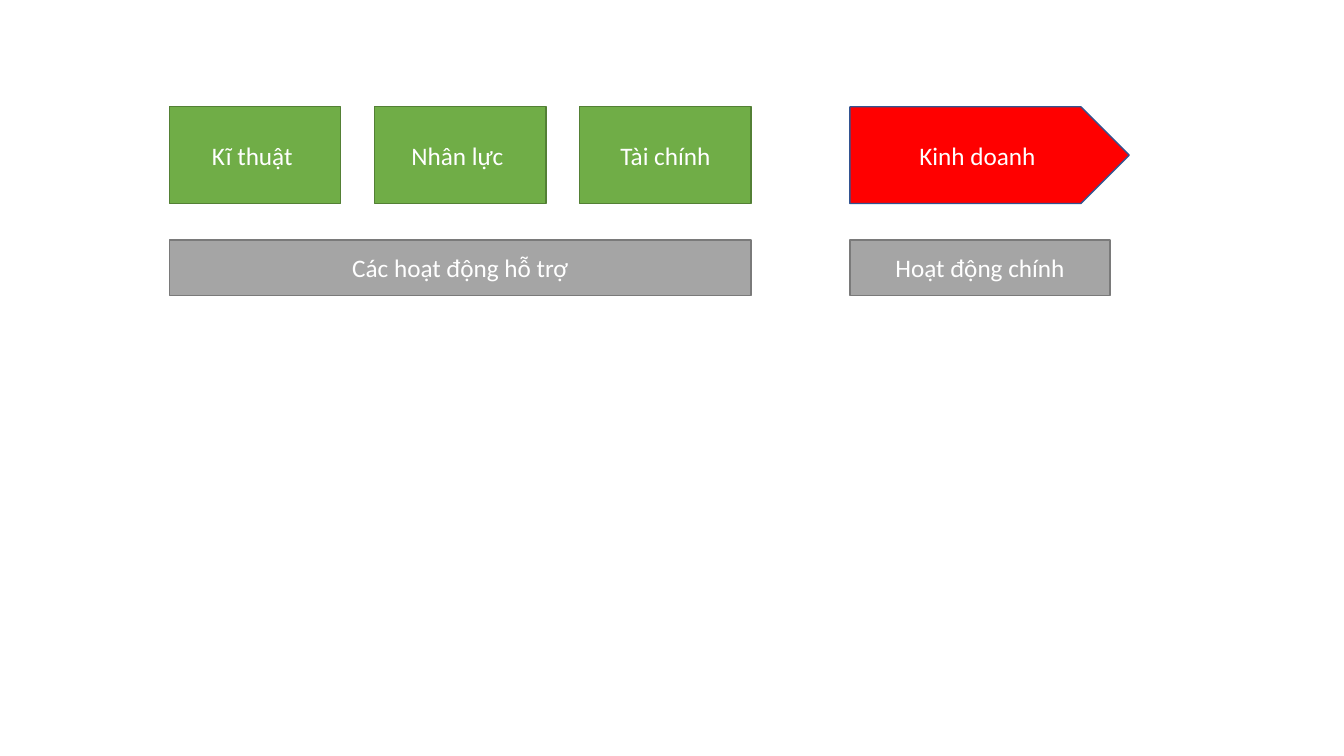
from pptx import Presentation
from pptx.dml.color import RGBColor
from pptx.enum.shapes import MSO_SHAPE
from pptx.enum.text import MSO_ANCHOR, PP_ALIGN
from pptx.util import Inches, Pt

WHITE = RGBColor(0xFF, 0xFF, 0xFF)
GREEN = RGBColor(0x70, 0xAD, 0x47)
DARK_GREEN = RGBColor(0x53, 0x80, 0x35)
GRAY = RGBColor(0xA5, 0xA5, 0xA5)
DARK_GRAY = RGBColor(0x7A, 0x7A, 0x7A)
RED = RGBColor(0xFF, 0x00, 0x00)
BLUE = RGBColor(0x32, 0x54, 0x91)

SUPPORT_LEFT, SUPPORT_WIDTH = 1.68, 5.77
MAIN_LEFT = 8.43
ACTIVITY_TOP, ACTIVITY_HEIGHT = 1.06, 0.96
LABEL_TOP, LABEL_HEIGHT = 2.38, 0.55
UNIT_WIDTH = 1.7
SUPPORT_UNITS = ["Kĩ thuật ", "Nhân lực ", "Tài chính"]


class ValueChainSlide:
    font_format = {"name": "Calibri", "size": Pt(18)}

    def __init__(self, presentation):
        self.slide = presentation.slides.add_slide(presentation.slide_layouts[6])

    def add_box(self, text, left, top, width, height, fill, line,
                kind=MSO_SHAPE.RECTANGLE):
        shape = self.slide.shapes.add_shape(
            kind, Inches(left), Inches(top), Inches(width), Inches(height))
        shape.shadow.inherit = False
        shape.fill.solid()
        shape.fill.fore_color.rgb = fill
        shape.line.color.rgb = line
        shape.line.width = Pt(1)
        self.set_text(shape, text)

    def set_text(self, shape, text):
        frame = shape.text_frame
        frame.word_wrap = True
        frame.vertical_anchor = MSO_ANCHOR.MIDDLE
        paragraph = frame.paragraphs[0]
        paragraph.alignment = PP_ALIGN.CENTER
        run = paragraph.add_run()
        run.text = text
        run.font.color.rgb = WHITE
        for name, value in self.font_format.items():
            setattr(run.font, name, value)

    def add_activity(self, text, left, width, fill, line, kind=MSO_SHAPE.RECTANGLE):
        self.add_box(text, left, ACTIVITY_TOP, width, ACTIVITY_HEIGHT, fill, line, kind)

    def add_label(self, text, left, width):
        self.add_box(text, left, LABEL_TOP, width, LABEL_HEIGHT, GRAY, DARK_GRAY)


def main():
    presentation = Presentation()
    presentation.slide_width = Inches(13.33)
    presentation.slide_height = Inches(7.5)
    chain = ValueChainSlide(presentation)

    pitch = (SUPPORT_WIDTH - UNIT_WIDTH) / (len(SUPPORT_UNITS) - 1)
    for index, unit in enumerate(SUPPORT_UNITS):
        chain.add_activity(unit, SUPPORT_LEFT + index * pitch, UNIT_WIDTH,
                           GREEN, DARK_GREEN)
    chain.add_label("Các hoạt động hỗ trợ", SUPPORT_LEFT, SUPPORT_WIDTH)

    chain.add_activity("Kinh doanh", MAIN_LEFT, 2.77, RED, BLUE, MSO_SHAPE.PENTAGON)
    chain.add_label("Hoạt động chính", MAIN_LEFT, 2.58)

    presentation.save("out.pptx")


if __name__ == "__main__":
    main()
